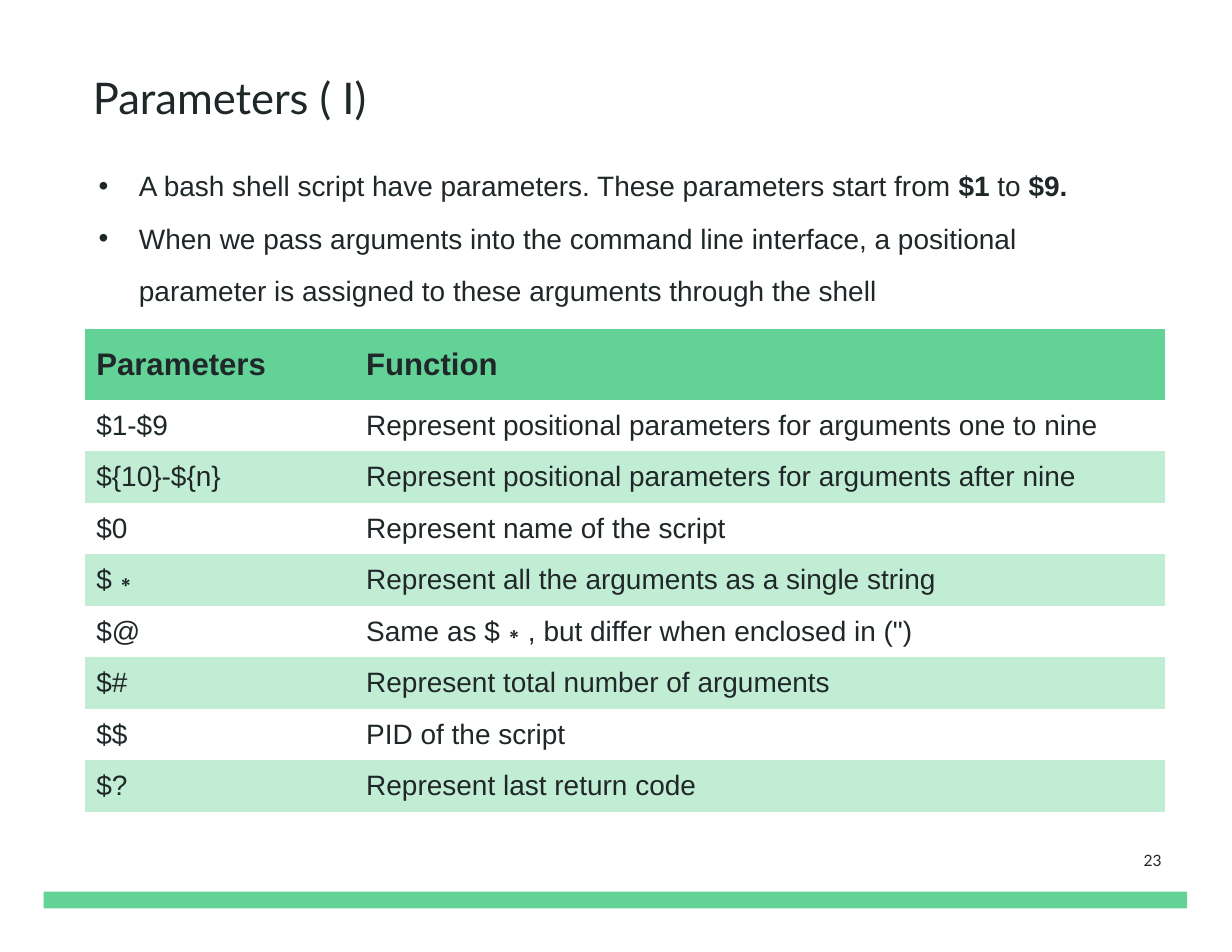
from lxml.etree import SubElement
from pptx import Presentation
from pptx.dml.color import RGBColor
from pptx.enum.shapes import MSO_SHAPE
from pptx.enum.text import MSO_ANCHOR, PP_ALIGN
from pptx.oxml.ns import qn
from pptx.util import Inches, Pt

GREEN = RGBColor(0x63, 0xD2, 0x97)
PALE_GREEN = RGBColor(0xC1, 0xED, 0xD5)
INK = RGBColor(0x20, 0x27, 0x29)
PLAIN_TABLE_STYLE = "{2D5ABB26-0587-4C30-8999-92F81FD0307C}"

BULLETS = [
    [("A bash shell script have parameters. These parameters start from ", False),
     ("$1", True), (" to ", False), ("$9.", True)],
    [("When we pass arguments into the command line interface, a positional "
      "parameter is assigned to these arguments through the shell", False)],
]
PARAMETERS = [
    ("Parameters", "Function"),
    ("$1-$9", "Represent positional parameters for arguments one to nine"),
    ("${10}-${n}", "Represent positional parameters for arguments after nine"),
    ("$0", "Represent name of the script"),
    ("$∗", "Represent all the arguments as a single string"),
    ("$@", "Same as $∗, but differ when enclosed in (\")"),
    ("$#", "Represent total number of arguments"),
    ("$$", "PID of the script"),
    ("$?", "Represent last return code"),
]


class SlideBuilder:
    """Draws styled elements on the current slide."""

    def __init__(self, slide, heading_font="Lato", body_font="Arial"):
        self.slide = slide
        self.heading_font = heading_font
        self.body_font = body_font

    def style(self, font, name, size, bold=False):
        font.name = name
        font.size = Pt(size)
        font.bold = bold
        font.color.rgb = INK

    def bar(self, left, top, width, height):
        shape = self.slide.shapes.add_shape(
            MSO_SHAPE.RECTANGLE, Inches(left), Inches(top), Inches(width), Inches(height))
        shape.shadow.inherit = False
        shape.fill.solid()
        shape.fill.fore_color.rgb = GREEN
        shape.line.fill.background()

    def frame(self, left, top, width, height, side_margin=0):
        shape = self.slide.shapes.add_textbox(
            Inches(left), Inches(top), Inches(width), Inches(height))
        text_frame = shape.text_frame
        text_frame.word_wrap = True
        text_frame.margin_left = text_frame.margin_right = Inches(side_margin)
        text_frame.margin_top = text_frame.margin_bottom = Inches(0.1)
        return text_frame

    def label(self, text, size, text_frame, align=PP_ALIGN.LEFT, anchor=MSO_ANCHOR.TOP):
        text_frame.text = text
        text_frame.vertical_anchor = anchor
        paragraph = text_frame.paragraphs[0]
        paragraph.alignment = align
        self.style(paragraph.runs[0].font, self.heading_font, size)

    def bullets(self, items, text_frame):
        for index, pieces in enumerate(items):
            paragraph = text_frame.add_paragraph() if index else text_frame.paragraphs[0]
            paragraph.line_spacing = 1.56
            properties = paragraph._p.get_or_add_pPr()
            properties.set("marL", str(Inches(0.5)))
            properties.set("indent", str(Inches(-0.36)))
            SubElement(properties, qn("a:buFont"), typeface=self.body_font)
            SubElement(properties, qn("a:buChar"), char="•")
            for text, bold in pieces:
                run = paragraph.add_run()
                run.text = text
                self.style(run.font, self.body_font, 18, bold)

    def table(self, rows, left, top, column_widths, header_height, row_height):
        height = header_height + row_height * (len(rows) - 1)
        table = self.slide.shapes.add_table(
            len(rows), len(column_widths), Inches(left), Inches(top),
            Inches(sum(column_widths)), Inches(height)).table
        table._tbl.tblPr.find(qn("a:tableStyleId")).text = PLAIN_TABLE_STYLE
        table.horz_banding = False
        for column, width in zip(table.columns, column_widths):
            column.width = Inches(width)
        for row_index, texts in enumerate(rows):
            header = row_index == 0
            table.rows[row_index].height = Inches(header_height if header else row_height)
            for column_index, text in enumerate(texts):
                cell = table.cell(row_index, column_index)
                cell.vertical_anchor = MSO_ANCHOR.MIDDLE
                if row_index % 2:
                    cell.fill.background()
                else:
                    cell.fill.solid()
                    cell.fill.fore_color.rgb = GREEN if header else PALE_GREEN
                cell.text_frame.text = text
                run = cell.text_frame.paragraphs[0].runs[0]
                self.style(run.font, self.body_font, 20 if header else 18, header)


def main():
    presentation = Presentation()
    presentation.slide_width = Inches(11)
    presentation.slide_height = Inches(8.5)
    builder = SlideBuilder(presentation.slides.add_slide(presentation.slide_layouts[6]))
    builder.bar(0.39, 7.96, 10.21, 0.15)
    builder.bullets(BULLETS, builder.frame(0.74, 1.24, 9.52, 1.03))
    builder.label("Parameters ( I)", 28, builder.frame(0.83, 0.53, 9.52, 0.86))
    builder.label("23", 10, builder.frame(9.86, 7.39, 0.61, 0.59, 0.1),
                  PP_ALIGN.RIGHT, MSO_ANCHOR.MIDDLE)
    builder.table(PARAMETERS, 0.76, 2.94, (2.41, 7.23), 0.63, 0.46)
    presentation.save("out.pptx")


if __name__ == "__main__":
    main()
